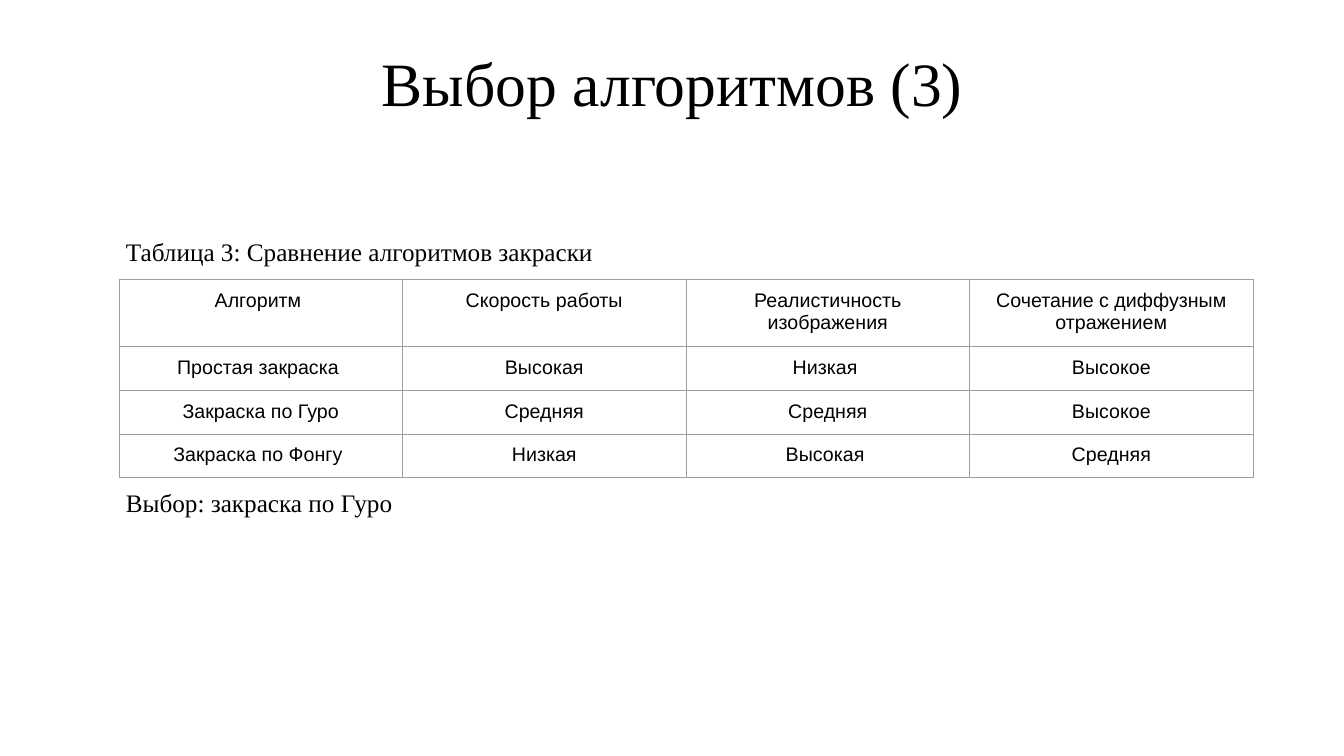
from lxml.etree import SubElement
from pptx import Presentation
from pptx.dml.color import RGBColor
from pptx.enum.text import MSO_ANCHOR, PP_ALIGN
from pptx.oxml.ns import qn
from pptx.util import Inches, Pt

BLACK = RGBColor(0x00, 0x00, 0x00)
GRID_GRAY = RGBColor(0x9E, 0x9E, 0x9E)
SERIF, SANS = "Times New Roman", "Arial"

HEADER_HEIGHT, ROW_HEIGHT = 0.64, 0.42
CELL_MARGIN = Inches(0.1)

COMPARISON = [
    ["Алгоритм ", "Скорость работы", "Реалистичность изображения",
     "Сочетание с диффузным отражением"],
    ["Простая закраска ", "Высокая", "Низкая ", "Высокое"],
    ["Закраска по Гуро", "Средняя", "Средняя", "Высокое"],
    ["Закраска по Фонгу ", "Низкая", "Высокая ", "Средняя"],
]


def style_paragraph(paragraph, font_name, size, align):
    paragraph.alignment = align
    paragraph.font.name = font_name
    paragraph.font.size = Pt(size)
    paragraph.font.color.rgb = BLACK


def add_text(slide, text, left, top, width, height, size, align, margin_y):
    box = slide.shapes.add_textbox(
        Inches(left), Inches(top), Inches(width), Inches(height))
    frame = box.text_frame
    frame.word_wrap = True
    frame.margin_left = frame.margin_right = Inches(0.1)
    frame.margin_top = frame.margin_bottom = Inches(margin_y)
    frame.text = text
    style_paragraph(frame.paragraphs[0], SERIF, size, align)
    return frame


def add_title(slide, text, left, top, width, height):
    frame = add_text(slide, text, left, top, width, height,
                     44, PP_ALIGN.CENTER, 0.05)
    frame.vertical_anchor = MSO_ANCHOR.MIDDLE
    frame.paragraphs[0].line_spacing = 0.9


def add_caption(slide, text, left, top, width, height):
    add_text(slide, text, left, top, width, height, 18, PP_ALIGN.LEFT, 0.1)


def outline_cell(cell):
    """Draw a thin gray border on all four sides and leave the cell unfilled."""
    properties = cell._tc.get_or_add_tcPr()
    for side in ("a:lnL", "a:lnR", "a:lnT", "a:lnB"):
        line = SubElement(properties, qn(side), w=str(Pt(0.75)))
        fill = SubElement(line, qn("a:solidFill"))
        SubElement(fill, qn("a:srgbClr"), val=str(GRID_GRAY))
    cell.fill.background()


def add_comparison_table(slide, rows, left, top, width):
    heights = [HEADER_HEIGHT] + [ROW_HEIGHT] * (len(rows) - 1)
    column_count = len(rows[0])
    table = slide.shapes.add_table(
        len(rows), column_count, Inches(left), Inches(top),
        Inches(width), Inches(sum(heights))).table
    table.first_row = table.horz_banding = False
    for column in table.columns:
        column.width = Inches(width / column_count)
    for table_row, height, texts in zip(table.rows, heights, rows):
        table_row.height = Inches(height)
        for cell, text in zip(table_row.cells, texts):
            cell.text = text
            cell.margin_left = cell.margin_right = CELL_MARGIN
            cell.margin_top = cell.margin_bottom = CELL_MARGIN
            style_paragraph(cell.text_frame.paragraphs[0], SANS, 14,
                            PP_ALIGN.CENTER)
            outline_cell(cell)


def build_comparison_slide(presentation):
    slide = presentation.slides.add_slide(presentation.slide_layouts[6])
    add_title(slide, "Выбор алгоритмов (3)", 0.92, 0.4, 11.5, 0.91)
    add_comparison_table(slide, COMPARISON, 1.18, 2.77, 11.25)
    add_caption(slide, "Таблица 3: Сравнение алгоритмов закраски",
                1.15, 2.24, 11.33, 0.53)
    add_caption(slide, "Выбор: закраска по Гуро", 1.15, 4.73, 11.33, 0.53)


def main():
    presentation = Presentation()
    presentation.slide_width = Inches(13.33)
    presentation.slide_height = Inches(7.5)
    build_comparison_slide(presentation)
    presentation.save("out.pptx")


if __name__ == "__main__":
    main()
